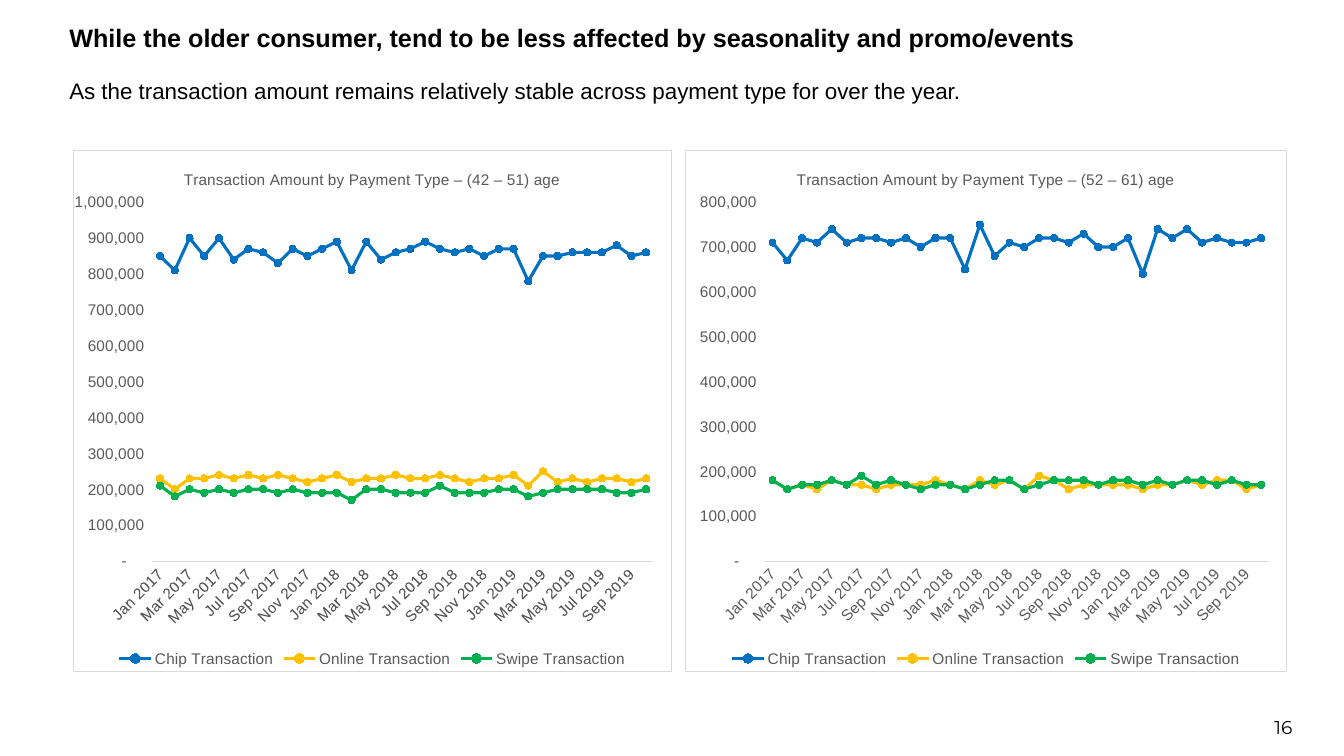
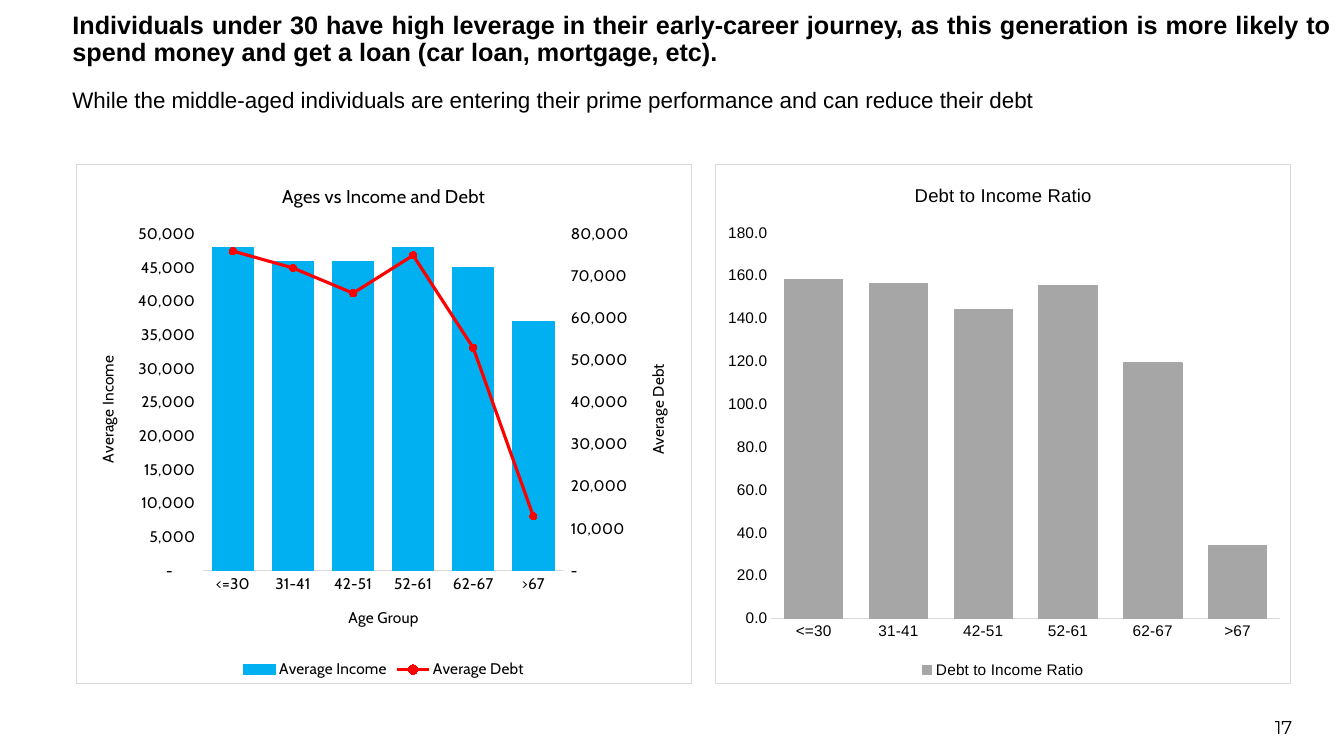
from itertools import product

from pptx import Presentation
from pptx import util as u
from pptx.chart.axis import ValueAxis
from pptx.chart.data import CategoryChartData
from pptx.dml.color import RGBColor
from pptx.enum import chart as ec, text as et
from pptx.oxml import parse_xml
from pptx.oxml.ns import nsdecls, qn

PX = 9525  # EMU per px, 96 px to the inch
COLORS = {
    "text": "000000", "muted": "595959", "rule": "D9D9D9",
    "Chip Transaction": "0070C0", "Online Transaction": "FFC000",
    "Swipe Transaction": "00B050", "Average Income": "00B0F0",
    "Average Debt": "FF0000", "Debt to Income Ratio": "A6A6A6",
}
THOUSANDS = '_(* #,##0_);_(* \\(#,##0\\);_(* "-"??_);_('
NS = nsdecls("c", "a")


def set_font(font, name, size, color="text", bold=False):
    font.name, font.size, font.bold = name, u.Pt(size), bold
    font.color.rgb = RGBColor.from_string(COLORS[color])


def set_text(sp, box, text, align, anchor, margin, name, size, bold=False):
    sp.left, sp.top, sp.width, sp.height = [v * PX for v in box]
    tf = sp.text_frame
    tf.text, tf.word_wrap = text, True
    tf.auto_size, tf.vertical_anchor = et.MSO_AUTO_SIZE.NONE, anchor
    tf.margin_left = tf.margin_right = 0
    tf.margin_top = tf.margin_bottom = margin * PX
    p = tf.paragraphs[0]
    p.alignment = align
    set_font(p.font, name, size, bold=bold)
    return p


# Chart data
MONTHS = "Jan Feb Mar Apr May Jun Jul Aug Sep Oct Nov Dec".split()
months = [f"{m} {y}" for y, m in product((2017, 2018, 2019), MONTHS)][:34]
ages = ["<=30", "31-41", "42-51", "52-61", "62-67", ">67"]

# Transaction amounts in ten thousands
age_42_51 = {
    "Chip Transaction": [
        85, 81, 90, 85, 90, 84, 87, 86, 83, 87, 85, 87, 89, 81, 89, 84, 86,
        87, 89, 87, 86, 87, 85, 87, 87, 78, 85, 85, 86, 86, 86, 88, 85, 86],
    "Online Transaction": [
        23, 20, 23, 23, 24, 23, 24, 23, 24, 23, 22, 23, 24, 22, 23, 23, 24,
        23, 23, 24, 23, 22, 23, 23, 24, 21, 25, 22, 23, 22, 23, 23, 22, 23],
    "Swipe Transaction": [
        21, 18, 20, 19, 20, 19, 20, 20, 19, 20, 19, 19, 19, 17, 20, 20, 19,
        19, 19, 21, 19, 19, 19, 20, 20, 18, 19, 20, 20, 20, 20, 19, 19, 20],
}
age_52_61 = {
    "Chip Transaction": [
        71, 67, 72, 71, 74, 71, 72, 72, 71, 72, 70, 72, 72, 65, 75, 68, 71,
        70, 72, 72, 71, 73, 70, 70, 72, 64, 74, 72, 74, 71, 72, 71, 71, 72],
    "Online Transaction": [
        18, 16, 17, 16, 18, 17, 17, 16, 17, 17, 17, 18, 17, 16, 18, 17, 18,
        16, 19, 18, 16, 17, 17, 17, 17, 16, 17, 17, 18, 17, 18, 18, 16, 17],
    "Swipe Transaction": [
        18, 16, 17, 17, 18, 17, 19, 17, 18, 17, 16, 17, 17, 16, 17, 18, 18,
        16, 17, 18, 18, 18, 17, 18, 18, 17, 18, 17, 18, 18, 17, 18, 17, 17],
}
income_debt = {
    "Average Income": [48000, 46000, 46000, 48000, 45000, 37000],
    "Average Debt": [76000, 72000, 66000, 75000, 53000, 13000],
}
ratio = {"Debt to Income Ratio": [158, 156, 144, 155, 119, 34]}

LINE = ec.XL_CHART_TYPE.LINE_MARKERS
CLUSTERED = ec.XL_CHART_TYPE.COLUMN_CLUSTERED
STACKED = ec.XL_CHART_TYPE.COLUMN_STACKED
MONTHLY = dict(kind=LINE, cats=months, factor=10000, step=100000, fmt=THOUSANDS,
               font="Arial", color="muted", title_size=11,
               plot=(0.133, 0.099, 0.837, 0.689))
BY_AGE = dict(cats=ages, factor=1, color="text", title_size=13.2)

slides = [
    dict(number="16",
         title="While the older consumer, tend to be less affected by seasonality and promo/events",
         title_box=(66, 12, 1226, 48),
         subtitle="As the transaction amount remains relatively stable across payment type for over the year.",
         subtitle_box=(66, 60, 1199, 49),
         charts=[
             dict(MONTHLY, title="Transaction Amount by Payment Type – (42 – 51) age",
                  box=(67, 143, 573, 497), series=age_42_51, top=1000000),
             dict(MONTHLY, title="Transaction Amount by Payment Type – (52 – 61) age",
                  box=(652, 143, 574, 497), series=age_52_61, top=800000)]),
    dict(number="17",
         title="Individuals under 30 have high leverage in their early-career journey, as this "
               "generation is more likely to spend money and get a loan (car loan, mortgage, etc).",
         title_box=(69, 26, 1199, 48),
         subtitle="While the middle-aged individuals are entering their prime performance "
                  "and can reduce their debt",
         subtitle_box=(69, 69, 1199, 49),
         charts=[
             dict(BY_AGE, kind=CLUSTERED, title="Ages vs Income and Debt", font="Cabin",
                  box=(72, 156, 587, 495), series=income_debt, top=50000, step=5000,
                  fmt=THOUSANDS, plot=(0.206, 0.135, 0.586, 0.649),
                  axis_titles=["Age Group", "Average Income", "Average Debt"]),
             dict(BY_AGE, kind=STACKED, title="Debt to Income Ratio", font="Arial",
                  box=(681, 156, 549, 495), series=ratio, top=180, step=20,
                  fmt="0.0", plot=(0.097, 0.131, 0.884, 0.744))]),
]

prs = Presentation()
prs.slide_width, prs.slide_height = 1280 * PX, 720 * PX

for page in slides:
    s = prs.slides.add_slide(prs.slide_layouts[5])

    # Title, subtitle and page number
    p = set_text(s.shapes.title, page["title_box"], page["title"], et.PP_ALIGN.JUSTIFY,
                 et.MSO_ANCHOR.BOTTOM, 10, "Arial", 18, bold=True)
    p.line_spacing = 0.9
    set_text(s.shapes.add_textbox(0, 0, 0, 0), page["subtitle_box"], page["subtitle"],
             et.PP_ALIGN.JUSTIFY, et.MSO_ANCHOR.BOTTOM, 10, "Arial", 16)
    set_text(s.shapes.add_textbox(0, 0, 0, 0), (943, 673, 288, 38), page["number"],
             et.PP_ALIGN.RIGHT, et.MSO_ANCHOR.MIDDLE, 7, "Montserrat", 13.3)

    for c in page["charts"]:
        data = CategoryChartData(number_format="General")
        data.categories = c["cats"]
        for name, values in c["series"].items():
            data.add_series(name, [v * c["factor"] for v in values])
        chart = s.shapes.add_chart(c["kind"], *[v * PX for v in c["box"]], data).chart
        set_font(chart.font, c["font"], 11, c["color"])

        # Title and legend
        chart.has_title = True
        chart.chart_title.text_frame.text = c["title"]
        set_font(chart.chart_title.text_frame.paragraphs[0].font,
                 c["font"], c["title_size"], c["color"])
        chart.has_legend = True
        chart.legend.position = ec.XL_LEGEND_POSITION.BOTTOM
        chart.legend.include_in_layout = False
        set_font(chart.legend.font, c["font"], 11, c["color"])

        # Frame and plot area
        root = chart.element
        root.find(qn("c:chart")).addnext(parse_xml(
            f'<c:spPr {NS}><a:solidFill><a:srgbClr val="FFFFFF"/></a:solidFill><a:ln w="9525">'
            f'<a:solidFill><a:srgbClr val="{COLORS["rule"]}"/></a:solidFill></a:ln></c:spPr>'))
        area = root.find(".//" + qn("c:plotArea"))
        for old in area.findall(qn("c:layout")):
            area.remove(old)
        place = "".join(f'<c:{k} val="{v}"/>' for k, v in zip("xywh", c["plot"]))
        area.insert(0, parse_xml(
            f'<c:layout {NS}><c:manualLayout><c:layoutTarget val="inner"/>'
            f'<c:xMode val="edge"/><c:yMode val="edge"/>{place}</c:manualLayout></c:layout>'))

        value_axes = [(chart.value_axis, c["top"], c["step"])]

        # Debt becomes a line on a second axis
        if c["kind"] == CLUSTERED:
            bars = area.find(qn("c:barChart"))
            debt = bars.findall(qn("c:ser"))[1]
            for flag in debt.findall(qn("c:invertIfNegative")):
                debt.remove(flag)
            lines = parse_xml(
                f'<c:lineChart {NS}><c:grouping val="standard"/><c:varyColors val="0"/>'
                '<c:marker val="1"/><c:axId val="5001"/><c:axId val="5002"/></c:lineChart>')
            lines.insert(2, debt)
            bars.addnext(lines)
            right = parse_xml(
                f'<c:valAx {NS}><c:axId val="5002"/><c:scaling/><c:delete val="0"/>'
                '<c:axPos val="r"/><c:majorTickMark val="out"/><c:minorTickMark val="none"/>'
                '<c:tickLblPos val="nextTo"/><c:crossAx val="5001"/><c:crosses val="max"/></c:valAx>')
            hidden = parse_xml(
                f'<c:catAx {NS}><c:axId val="5001"/><c:scaling/><c:delete val="1"/>'
                '<c:axPos val="b"/><c:crossAx val="5002"/></c:catAx>')
            area.findall(qn("c:valAx"))[-1].addnext(right)
            right.addnext(hidden)
            value_axes.append((ValueAxis(right), 80000, 10000))

        # Axes
        for axis, top, step in value_axes:
            axis.minimum_scale, axis.maximum_scale, axis.major_unit = 0, top, step
            axis.tick_labels.number_format = c["fmt"]
            axis.tick_labels.number_format_is_linked = False
            axis.format.line.fill.background()
        line = chart.category_axis.format.line
        line.width = u.Pt(0.75)
        line.color.rgb = RGBColor.from_string(COLORS["rule"])
        axes = [chart.category_axis] + [a for a, _, _ in value_axes]
        for axis in axes:
            axis.has_major_gridlines = False
            axis.major_tick_mark = ec.XL_TICK_MARK.NONE
            set_font(axis.tick_labels.font, c["font"], 11, c["color"])
        if c["kind"] == LINE:
            labels = area.find("/".join(map(qn, ("c:catAx", "c:txPr", "a:bodyPr"))))
            labels.set("rot", "-2700000")
        for axis, title in zip(axes, c.get("axis_titles", [])):
            tf = axis.axis_title.text_frame
            tf.text = title
            set_font(tf.paragraphs[0].font, c["font"], 11, c["color"])
            if axis is not axes[0]:
                axis.axis_title.element.find(".//" + qn("a:bodyPr")).set("rot", "-5400000")

        # Series
        for plot in chart.plots:
            plot.vary_by_categories = False
            is_line = hasattr(plot.series[0], "smooth")
            if not is_line:
                plot.gap_width = 45
            for ser in plot.series:
                color = RGBColor.from_string(COLORS[ser.name])
                formats = [ser.format]
                if is_line:
                    ser.smooth = False
                    ser.marker.style, ser.marker.size = ec.XL_MARKER_STYLE.CIRCLE, 5
                    formats.append(ser.marker.format)
                for f in formats:
                    f.line.color.rgb = color
                    f.line.width = u.Pt(0.75)
                if is_line:
                    ser.format.line.width = u.Pt(2.25)
                formats[-1].fill.solid()
                formats[-1].fill.fore_color.rgb = color

prs.save("out.pptx")
